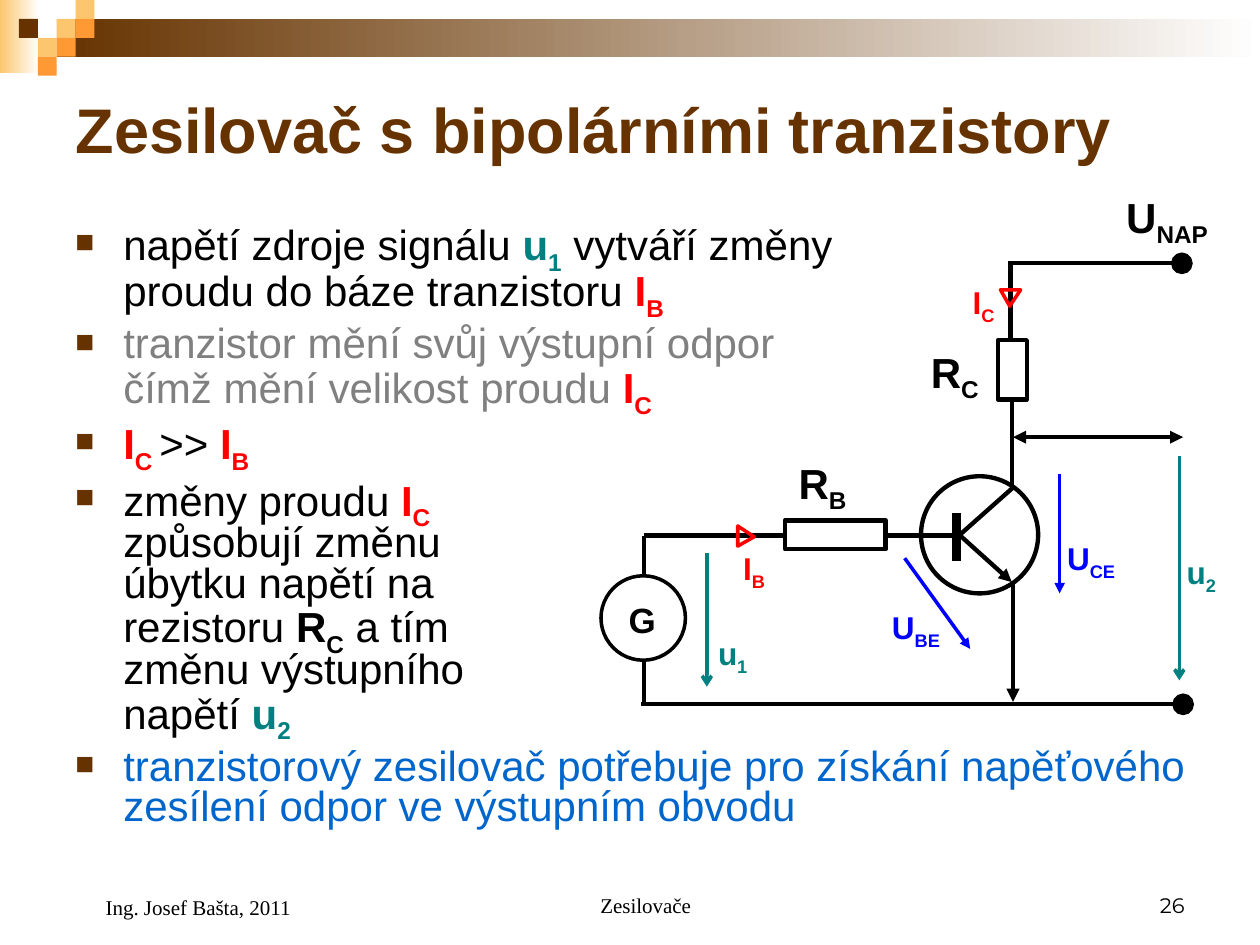
from dataclasses import dataclass

from lxml.etree import SubElement
from pptx import Presentation
from pptx.dml.color import RGBColor
from pptx.enum.shapes import MSO_CONNECTOR, MSO_SHAPE
from pptx.enum.text import MSO_ANCHOR, MSO_AUTO_SIZE, PP_ALIGN
from pptx.oxml.ns import qn
from pptx.util import Inches, Pt

COLORS = {
    "black": "000000", "white": "FFFFFF", "brown": "663300", "sand": "FCC66E",
    "orange": "FF9933", "teal": "008080", "red": "FF0000", "gray": "808080",
    "azure": "0066CC", "blue": "0000FF",
}


@dataclass
class Box:
    """A region measured in grid cells of a tenth of an inch."""

    left: float
    top: float
    width: float
    height: float

    def point(self, column, row):
        """Return the slide position of a grid point of the region."""
        return Inches((self.left + column) / 10), Inches((self.top + row) / 10)

    def area(self, column, row, columns, rows):
        """Return the slide position and size of a block of cells."""
        return (*self.point(column, row), Inches(columns / 10), Inches(rows / 10))


def rgb(name):
    """Return the named colour."""
    return RGBColor.from_string(COLORS[name])


def plain(text, color="black"):
    """Return the run of ordinary words."""
    return [(text, color, False, False)]


def symbol(letter, index, color="black"):
    """Return the runs of a bold quantity with its subscript."""
    return [(letter, color, True, False), (index, color, True, True)]


def fill_paragraph(paragraph, runs, size, font="Arial"):
    """Write runs, breaking lines at newlines."""
    paragraph.font.name, paragraph.font.size = font, Pt(size)
    for text, color, bold, subscript in runs:
        for number, line in enumerate(text.split("\n")):
            if number:
                paragraph.add_line_break()
            if line:
                run = paragraph.add_run()
                run.text = line
                run.font.bold = bold
                run.font.color.rgb = rgb(color)
                if subscript:
                    run.font._element.set("baseline", "-25000")


def add_text(slide, area, runs, size, font="Arial", anchor=MSO_ANCHOR.TOP,
             align=PP_ALIGN.LEFT, margin=0):
    """Add a text box of one paragraph."""
    frame = slide.shapes.add_textbox(*area).text_frame
    frame.word_wrap, frame.vertical_anchor = True, anchor
    paragraph = frame.paragraphs[0]
    paragraph.alignment = align
    if margin:
        paragraph._p.get_or_add_pPr().set("marL", str(Inches(margin)))
    fill_paragraph(paragraph, runs, size, font)


def add_outline(slide, kind, area, color="black", width=2.5, rotation=0):
    """Add an unfilled outlined shape."""
    shape = slide.shapes.add_shape(kind, *area)
    shape.shadow.inherit = False
    shape.fill.background()
    shape.line.color.rgb, shape.line.width = rgb(color), Pt(width)
    shape.rotation = rotation
    return shape


def add_line(slide, start, end, color="black", width=2.5, head=None, tail=None):
    """Add a straight line with optional end marks."""
    line = slide.shapes.add_connector(MSO_CONNECTOR.STRAIGHT, *start, *end)
    line.line.color.rgb, line.line.width = rgb(color), Pt(width)
    outline = line.line._get_or_add_ln()
    for tag, mark in (("a:headEnd", head), ("a:tailEnd", tail)):
        if mark:
            size = "lg" if mark == "oval" else "med"
            SubElement(outline, qn(tag), type=mark, w=size, len=size)
    SubElement(line._element.spPr, qn("a:effectLst"))


def add_decoration(slide, box):
    """Draw the gradient bands and the mosaic of squares."""
    cell = 1.5
    bands = [((0, 0, 3.1, 5.8), "sand"), ((3 * cell, cell, box.width - 3 * cell, 3), "brown")]
    squares = [(3, 1, "sand"), (4, 0, "sand"), (4, 1, "orange"), (2, 2, "sand"),
               (1, 1, "brown"), (3, 2, "orange"), (2, 3, "orange")]
    blocks = bands + [((column * cell, row * cell, cell, cell), color)
                      for column, row, color in squares]
    for number, (area, color) in enumerate(blocks):
        shape = slide.shapes.add_shape(MSO_SHAPE.RECTANGLE, *box.area(*area))
        shape.shadow.inherit = False
        shape.line.fill.background()
        if number < len(bands):
            shape.fill.gradient()
            shape.fill.gradient_angle = 0
            for stop, name in zip(shape.fill.gradient_stops, (color, "white")):
                stop.color.rgb = rgb(name)
        else:
            shape.fill.solid()
            shape.fill.fore_color.rgb = rgb(color)


def add_title(slide, box):
    """Place and format the title."""
    title = slide.shapes.title
    title.left, title.top, title.width, title.height = box.area(0, 0, box.width, box.height)
    frame = title.text_frame
    frame.auto_size, frame.vertical_anchor = MSO_AUTO_SIZE.NONE, MSO_ANCHOR.MIDDLE
    frame.paragraphs[0].alignment = PP_ALIGN.LEFT
    runs = [("Zesilovač s bipolárními tranzistory", "brown", True, False)]
    fill_paragraph(frame.paragraphs[0], runs, 36)


def add_bullets(slide, box):
    """Write the bulleted explanation."""
    base, collector = symbol("I", "B", "red"), symbol("I", "C", "red")
    items = [
        plain("napětí zdroje signálu ") + symbol("u", "1", "teal")
        + plain(" vytváří změny \nproudu do báze tranzistoru ") + base,
        plain("tranzistor mění svůj výstupní odpor \nčímž mění velikost proudu ", "gray")
        + collector,
        symbol("I", "C ", "red") + plain(">> ") + base,
        plain("změny proudu ") + symbol("I", "C \n", "red")
        + plain("způsobují změnu \núbytku napětí na \nrezistoru ") + symbol("R", "C")
        + plain(" a tím \nzměnu výstupního \nnapětí ") + symbol("u", "2", "teal"),
        plain("tranzistorový zesilovač potřebuje pro získání napěťového "
              "zesílení odpor ve výstupním obvodu", "azure"),
    ]
    frame = slide.shapes.add_textbox(*box.area(0, 0, box.width, box.height)).text_frame
    frame.word_wrap = True
    for number, runs in enumerate(items):
        paragraph = frame.add_paragraph() if number else frame.paragraphs[0]
        paragraph.line_spacing, paragraph.space_before = 0.8, Pt(6 if number else 0)
        properties = paragraph._p.get_or_add_pPr()
        properties.set("marL", str(Inches(0.38)))
        properties.set("indent", str(Inches(-0.38)))
        SubElement(SubElement(properties, qn("a:buClr")), qn("a:srgbClr"), val=COLORS["brown"])
        SubElement(properties, qn("a:buSzPct"), val="75000")
        SubElement(properties, qn("a:buFont"), typeface="Arial")
        SubElement(properties, qn("a:buChar"), char="■")
        fill_paragraph(paragraph, runs, 24)


def add_circuit(slide, box):
    """Draw the transistor amplifier with its voltages and currents."""
    wires = [
        (3.9, 41.9, 46.9, 41.9, {"tail": "oval"}), (33.1, 6.9, 46.8, 6.9, {"tail": "oval"}),
        (4.1, 28.5, 15.4, 28.5, {}), (33.4, 41.7, 33.4, 32.3, {"head": "triangle"}),
        (33.3, 24.5, 33.3, 17.8, {}), (28.9, 26.7, 28.9, 30.5, {"width": 5}),
        (29, 28.6, 33.4, 24.7, {}), (29.2, 28.5, 33.3, 32.2, {"tail": "triangle"}),
        (33.2, 12.8, 33.2, 6.7, {}), (23.3, 28.5, 28.7, 28.5, {}), (4.1, 28.5, 4.1, 42, {}),
        (33.4, 20.7, 46.9, 20.7, {"head": "triangle", "tail": "triangle"}),
    ]
    voltages = [(37.1, 23.6, 37.1, 33.1, "blue", "triangle"),
                (24.8, 30.3, 30, 37.5, "blue", "triangle"),
                (46.6, 22.2, 46.6, 40, "teal", "arrow"), (9.1, 29.9, 9.1, 40.5, "teal", "arrow")]
    wires += [(*ends, {"color": color, "width": 2, "tail": mark})
              for *ends, color, mark in voltages]
    for x1, y1, x2, y2, style in wires:
        add_line(slide, box.point(x1, y1), box.point(x2, y2), **style)

    for area in ((15.3, 27.3, 8, 2.3), (32.2, 13, 2.3, 4.7)):
        add_outline(slide, MSO_SHAPE.RECTANGLE, box.area(*area))
    add_outline(slide, MSO_SHAPE.OVAL, box.area(26.1, 23.8, 9.3, 9.3))
    for column, row, rotation in ((11.4, 27.9, 90), (32.4, 9, 180)):
        add_outline(slide, MSO_SHAPE.ISOSCELES_TRIANGLE, box.area(column, row, 1.6, 1.3),
                    "red", 2, rotation).adjustments[0] = 0.54
    generator = add_outline(slide, MSO_SHAPE.OVAL, box.area(0.7, 31.7, 6.7, 6.7), width=2)
    generator.fill.solid()
    generator.fill.fore_color.rgb = rgb("white")

    labels = [
        (29.2, 8, 4.2, "I", "C", "red", 18), (11, 29.1, 4.2, "I", "B", "red", 18),
        (36.7, 28.3, 6.8, "U", "CE", "blue", 18), (22.8, 33.8, 6.8, "U", "BE", "blue", 18),
        (46.2, 29.4, 6.8, "u", "2", "teal", 18), (9, 35.8, 6.8, "u", "1", "teal", 18),
        (41.4, 0.7, 9.7, "U", "NAP", "black", 24), (15.4, 21.8, 7.5, "R", "B", "black", 24),
        (25.9, 13, 6.3, "R", "C", "black", 24), (1.9, 33, 4.7, "G", "", "black", 20),
    ]
    for column, row, width, letter, index, color, size in labels:
        area = box.area(column, row, width, 5.6 if size == 24 else 4.4)
        add_text(slide, area, symbol(letter, index, color), size)


def add_footer(slide, box):
    """Write the author, the subject and the slide number."""
    parts = [(0, 23.3, 5.2, "Ing. Josef Bašta, 2011", "Times New Roman", PP_ALIGN.LEFT, 0.24),
             (29.2, 31.7, 5, "Zesilovače", "Times New Roman", PP_ALIGN.CENTER, 0.24),
             (66.7, 23.3, 5, "26", "Montserrat", PP_ALIGN.RIGHT, 0)]
    for column, width, height, text, font, align, margin in parts:
        add_text(slide, box.area(column, 0, width, height), plain(text), 12, font,
                 MSO_ANCHOR.BOTTOM, align, margin)


def main():
    """Build and save the slide."""
    presentation = Presentation()
    presentation.slide_width, presentation.slide_height = Inches(10), Inches(7.5)
    slide = presentation.slides.add_slide(presentation.slide_layouts[5])
    add_decoration(slide, Box(0, 0, 100, 75))
    add_title(slide, Box(5, 5, 90, 10.3))
    add_bullets(slide, Box(5, 17.3, 90.9, 51.8))
    add_circuit(slide, Box(47, 14, 53, 43))
    add_footer(slide, Box(5, 68.3, 90, 5.2))
    presentation.save("out.pptx")


if __name__ == "__main__":
    main()
